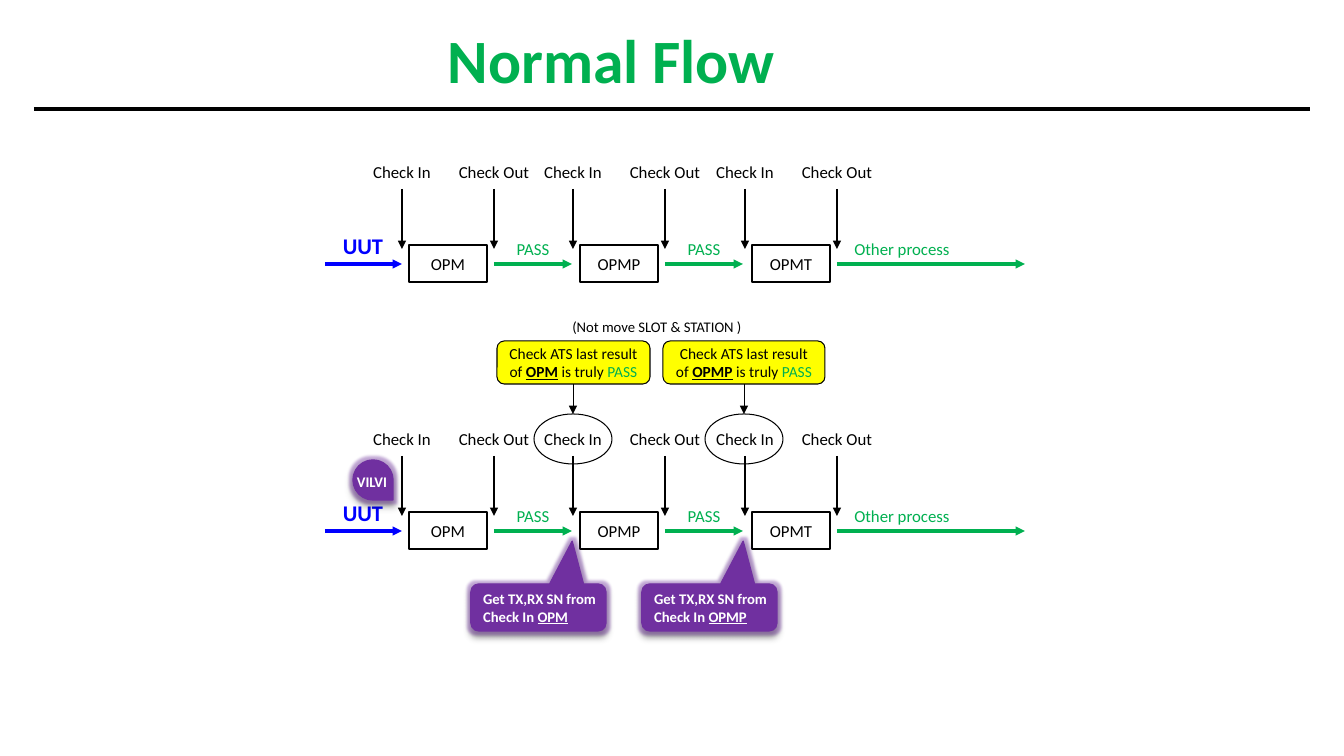
"""Build the Normal Flow slide: a station flow before and after the added checks."""
import pptx
import pptx.util
import pptx.dml.color
import pptx.enum.shapes
import pptx.enum.text
import pptx.oxml
import pptx.oxml.ns

EMU = 914400 / 100.8
COLORS = {"black": "000000", "white": "FFFFFF", "blue": "0000FF", "green": "00B050",
          "yellow": "FFFF00", "purple": "7030A0"}
SHAPES = pptx.enum.shapes.MSO_SHAPE
ALIGN = pptx.enum.text.PP_ALIGN
ANCHOR = pptx.enum.text.MSO_ANCHOR
NS = pptx.oxml.ns.nsdecls("a")

deck = pptx.Presentation()
deck.slide_width = round(1344 * EMU)
deck.slide_height = round(756 * EMU)
slide = deck.slides.add_slide(deck.slide_layouts[6])


def add_block(box, paragraphs=(), kind=None, fill=None, line=None, weight=1, size=12,
              color="black", bold=False, align=ALIGN.CENTER, wrap=False):
    """Add a text box, or a preset shape when kind is given, with styled runs."""
    place = [round(value * EMU) for value in box]
    if kind is None:
        block = slide.shapes.add_textbox(*place)
    else:
        block = slide.shapes.add_shape(kind, *place)
        block.shadow.inherit = False
        if fill:
            block.fill.solid()
            block.fill.fore_color.rgb = pptx.dml.color.RGBColor.from_string(COLORS[fill])
        else:
            block.fill.background()
        block.line.color.rgb = pptx.dml.color.RGBColor.from_string(COLORS[line])
        block.line.width = pptx.util.Pt(weight)
    frame = block.text_frame
    frame.word_wrap = wrap
    frame.vertical_anchor = ANCHOR.MIDDLE if kind else ANCHOR.TOP
    for index, runs in enumerate(paragraphs):
        paragraph = frame.add_paragraph() if index else frame.paragraphs[0]
        paragraph.alignment = align
        for words, changes in runs:
            run = paragraph.add_run()
            run.text = words
            style = {"name": "Calibri", "size": pptx.util.Pt(size), "bold": bold, "color": color}
            style.update(changes)
            tint = COLORS[style.pop("color")]
            run.font.color.rgb = pptx.dml.color.RGBColor.from_string(tint)
            for key, value in style.items():
                setattr(run.font, key, value)
    return block


def add_line(start, end, color="black", weight=1, arrow=True):
    """Add a straight connector, with an arrowhead at its end by default."""
    ends = [round(value * EMU) for value in (*start, *end)]
    link = slide.shapes.add_connector(pptx.enum.shapes.MSO_CONNECTOR.STRAIGHT, *ends)
    link.line.color.rgb = pptx.dml.color.RGBColor.from_string(COLORS[color])
    link.line.width = pptx.util.Pt(weight)
    if arrow:
        link.line._get_or_add_ln().append(pptx.oxml.parse_xml(f'<a:tailEnd {NS} type="triangle"/>'))
    link._element.spPr.append(pptx.oxml.parse_xml(f"<a:effectLst {NS}/>"))


stations = {"OPM": 409, "OPMP": 580, "OPMT": 752}

for axis in (264, 531):
    add_line((325, axis), (402, axis), "blue", 2.25)
    add_block((332, axis - 37, 62, 37), [[("UUT", {})]], size=16, color="blue", bold=True)
    for station, left in stations.items():
        add_block((left, axis - 19, 78, 37), [[(station, {})]], SHAPES.RECTANGLE, "white", "black")
        for action, x in (("Check In", left - 7), ("Check Out", left + 85)):
            add_line((x, axis - 75), (x, axis - 15))
            add_block((x - 46, axis - 107, 92, 30), [[(action, {})]])
        last = station == "OPMT"
        add_line((left + 85, axis), (1025 if last else left + 163, axis), "green", 2.25)
        result, middle = ("Other process", 902) if last else ("PASS", left + 124)
        add_block((middle - 58, axis - 30, 116, 30), [[(result, {})]], color="green")

effects = (f'<a:glow {NS} rad="50800"><a:srgbClr val="{COLORS["purple"]}">'
           '<a:alpha val="40000"/></a:srgbClr></a:glow>',
           f'<a:outerShdw {NS} blurRad="50800" dist="38100" dir="5400000" rotWithShape="0">'
           f'<a:srgbClr val="{COLORS["black"]}"><a:alpha val="40000"/></a:srgbClr></a:outerShdw>')
raised = []

for station, check, note_left, note_width in (("OPM", 573, 497, 153), ("OPMP", 744, 663, 162)):
    add_block((check - 39, 414, 78, 50), kind=SHAPES.OVAL, line="black", weight=0.75)
    add_block((note_left, 341, note_width, 43),
              [[("Check ATS last result of ", {}), (station, {"bold": True, "underline": True}),
                (" is truly ", {}), ("PASS", {"color": "green"})]],
              SHAPES.ROUNDED_RECTANGLE, "yellow", "black", 0.75, size=11, wrap=True)
    add_line((check, 384), (check, 414), weight=0.5)
    callout = add_block((check - 102, 584, 135, 47),
                        [[("Get TX,RX SN from", {})],
                         [("Check In ", {}), (station, {"underline": True})]],
                        SHAPES.ROUNDED_RECTANGULAR_CALLOUT, "purple", "purple",
                        size=10.5, color="white", bold=True, align=ALIGN.LEFT)
    for index, value in enumerate((0.25, -1.41, 0.17)):
        callout.adjustments[index] = value
    raised.append(callout)

badge = add_block((353, 460, 40, 40), kind=SHAPES.TEAR, fill="purple", line="purple")
badge.rotation = 90
raised.append(badge)
for block in raised:
    effect_list = block._element.spPr.find(pptx.oxml.ns.qn("a:effectLst"))
    for effect in effects:
        effect_list.append(pptx.oxml.parse_xml(effect))
add_block((344, 468, 56, 29), [[("VILVI", {})]], size=10.5, color="white", bold=True)

add_block((555, 313, 204, 29), [[("(Not move SLOT & STATION )", {})]], size=10.5, wrap=True)
add_block((436, 17, 351, 85), [[("Normal Flow", {})]], size=44, color="green", bold=True)
add_line((34, 109), (1310, 109), weight=2.5, arrow=False)

deck.save("out.pptx")
